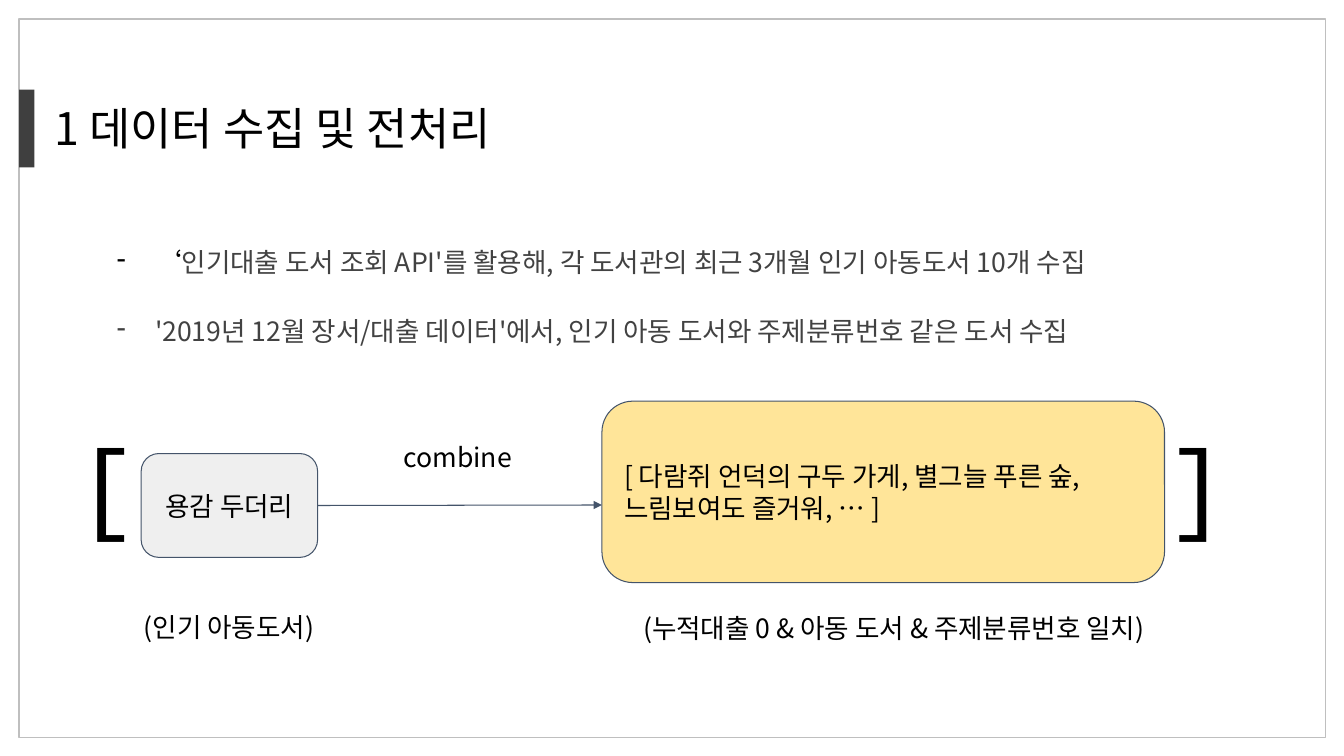
import pptx
import pptx.util
import pptx.dml.color
import pptx.enum.shapes
import pptx.enum.text
import pptx.oxml
import pptx.oxml.ns

Inches = pptx.util.Inches
Pt = pptx.util.Pt
RGBColor = pptx.dml.color.RGBColor
Kind = pptx.enum.shapes.MSO_SHAPE
Align = pptx.enum.text.PP_ALIGN
Anchor = pptx.enum.text.MSO_ANCHOR

BLACK = RGBColor(0, 0, 0)
DARK = RGBColor(0x3F, 0x3F, 0x3F)
GREY = RGBColor(0x42, 0x42, 0x42)
FRAME = RGBColor(0xBF, 0xBF, 0xBF)
NAVY = RGBColor(0x44, 0x54, 0x6A)
PALE = RGBColor(0xEF, 0xEF, 0xEF)
YELLOW = RGBColor(0xFF, 0xE5, 0x99)
SANS = "Noto Sans CJK KR"
MONO = "Courier New"
CENTER = {"alignment": Align.CENTER}


def apply(target, values):
    for name, value in values.items():
        setattr(target, name, value)


def add_node(parent, tag, **attrs):
    node = pptx.oxml.ns.qn(tag)
    child = parent.makeelement(node, attrs)
    parent.append(child)
    return child


def add_run(para, text, color=BLACK, size=19, face=SANS):
    run = para.add_run()
    run.text = text
    apply(run.font, {"size": Pt(size), "name": face})
    run.font.color.rgb = color
    add_node(run.font._element, "a:ea", typeface=face)


def set_frame(frame, pad, anchor=Anchor.TOP):
    apply(frame, {"word_wrap": True, "vertical_anchor": anchor,
                  "margin_left": Inches(pad), "margin_right": Inches(pad),
                  "margin_top": Inches(pad), "margin_bottom": Inches(pad)})


def fill_text(frame, lines, look, **font):
    for i, line in enumerate(lines):
        para = frame.paragraphs[0] if i == 0 else frame.add_paragraph()
        apply(para, look)
        add_run(para, line, **font)


def add_label(slide, area, text, pad=0.1, look={}, **font):
    box = slide.shapes.add_textbox(*map(Inches, area))
    set_frame(box.text_frame, pad)
    fill_text(box.text_frame, [text], look, **font)
    return box


def add_block(slide, kind, area, fill=None, edge=None, width=0.75):
    shape = slide.shapes.add_shape(kind, *map(Inches, area))
    shape.shadow.inherit = False
    if fill is None:
        shape.fill.background()
    else:
        shape.fill.solid()
        shape.fill.fore_color.rgb = fill
    if edge is None:
        shape.line.fill.background()
    else:
        shape.line.color.rgb = edge
        shape.line.width = Pt(width)
    return shape


def add_card(slide, area, fill, lines, align):
    card = add_block(slide, Kind.ROUNDED_RECTANGLE, area, fill, NAVY)
    card.adjustments[0] = 0.17
    set_frame(card.text_frame, 0.13, Anchor.MIDDLE)
    fill_text(card.text_frame, lines, {"alignment": align})
    return card


def add_arrow(slide, source, end):
    x, y = map(Inches, end)
    straight = pptx.enum.shapes.MSO_CONNECTOR.STRAIGHT
    arrow = slide.shapes.add_connector(straight, x, y, x, y)
    arrow.begin_connect(source, 3)
    arrow.line.color.rgb = NAVY
    arrow.line.width = Pt(0.75)
    add_node(arrow.line._get_or_add_ln(), "a:tailEnd", type="triangle")
    add_node(arrow._element.spPr, "a:effectLst")


def add_list(slide, area, items):
    box = slide.shapes.add_textbox(*map(Inches, area))
    frame = box.text_frame
    set_frame(frame, 0.1)
    frame.margin_top = Inches(0.45)
    for i, (runs, mark, look) in enumerate(items):
        para = frame.paragraphs[0] if i == 0 else frame.add_paragraph()
        apply(para, look)
        props = para._p.get_or_add_pPr()
        props.set("marL", str(Inches(0.5)))
        props.set("indent", str(Inches(-0.38)))
        tint = add_node(props, "a:buClr")
        add_node(tint, "a:srgbClr", val=str(mark))
        add_node(props, "a:buChar", char="-")
        for text, color in runs:
            add_run(para, text, color)


def main():
    deck = pptx.Presentation()
    apply(deck, {"slide_width": Inches(13.33), "slide_height": Inches(7.5)})
    slide = deck.slides.add_slide(deck.slide_layouts[6])

    add_block(slide, Kind.RECTANGLE, (0.19, 0.19, 12.96, 7.13), edge=FRAME, width=1)
    add_block(slide, Kind.RECTANGLE, (0.19, 0.89, 0.15, 0.77), DARK)
    title = add_label(slide, (0.44, 0.95, 5.31, 0.98), "1 데이터 수집 및 전처리", size=32)
    apply(title.text_frame, {"margin_top": Inches(0.05), "margin_bottom": Inches(0.05)})

    add_list(slide, (0.94, 1.99, 11.21, 2.22), [
        ([("‘", BLACK),
          ("인기대출 도서 조회 API'를 활용해, 각 도서관의 최근 3개월 인기 아동도서 10개 수집", GREY)],
         BLACK, {}),
        ([("'2019년 12월 장서/대출 데이터'에서, 인기 아동 도서와 주제분류번호 같은 도서 수집", GREY)],
         GREY, {"line_spacing": 1.15, "space_before": Pt(23)}),
    ])

    for left, sign in ((0.67, "["), (11.47, "]")):
        add_label(slide, (left, 4.07, 0.9, 2.02), sign, size=72, face=MONO)

    book = add_card(slide, (1.4, 4.5, 1.75, 1.03), PALE, ["용감 두더리"], Align.CENTER)
    add_card(slide, (5.97, 3.98, 5.58, 1.8), YELLOW,
             ["[ 다람쥐 언덕의 구두 가게, 별그늘 푸른 숲,", "느림보여도 즐거워, … ]"], Align.LEFT)
    add_arrow(slide, book, (5.97, 5.01))

    add_label(slide, (3.79, 4.24, 1.5, 0.74), "combine", 0.13, CENTER)
    add_label(slide, (1.06, 5.93, 2.42, 0.74), "(인기 아동도서)", 0.13, CENTER)
    add_label(slide, (5.8, 5.97, 6.13, 0.67),
              "(누적대출 0 & 아동 도서 & 주제분류번호 일치)", look=CENTER)
    deck.save("out.pptx")


if __name__ == "__main__":
    main()
